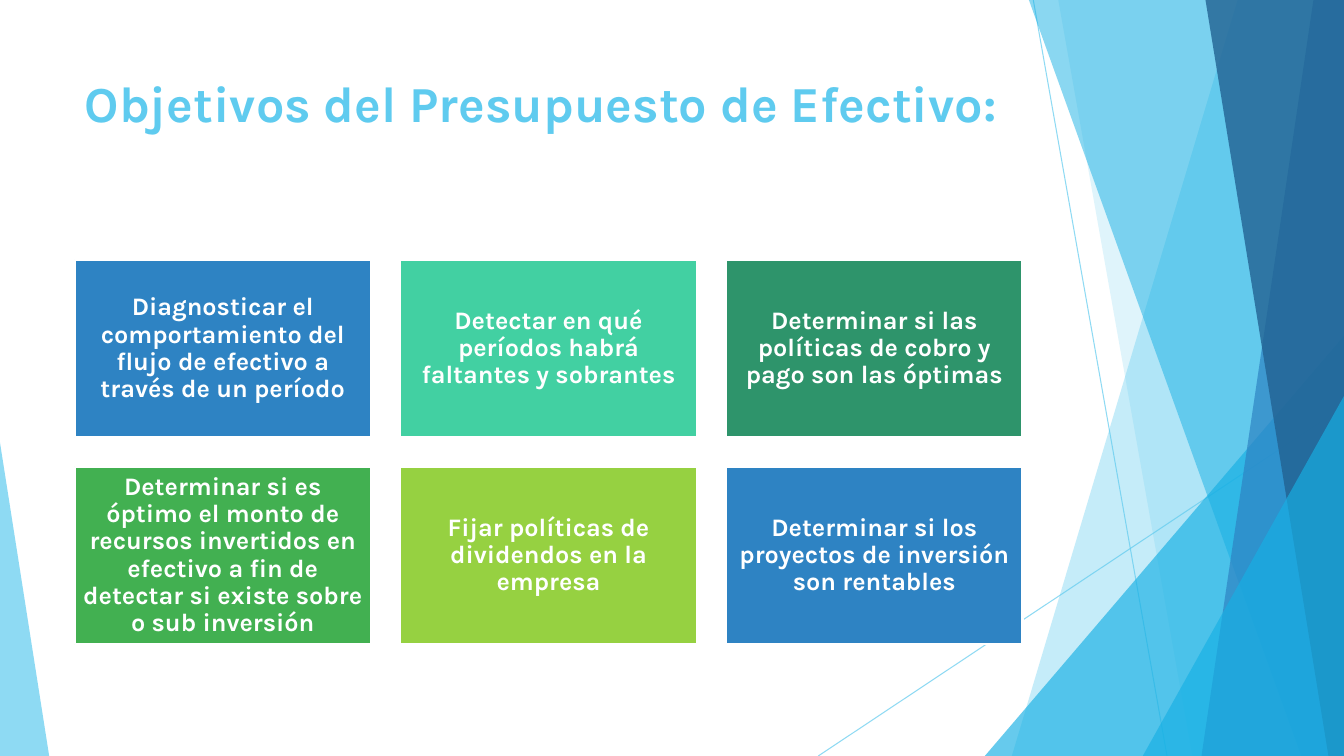
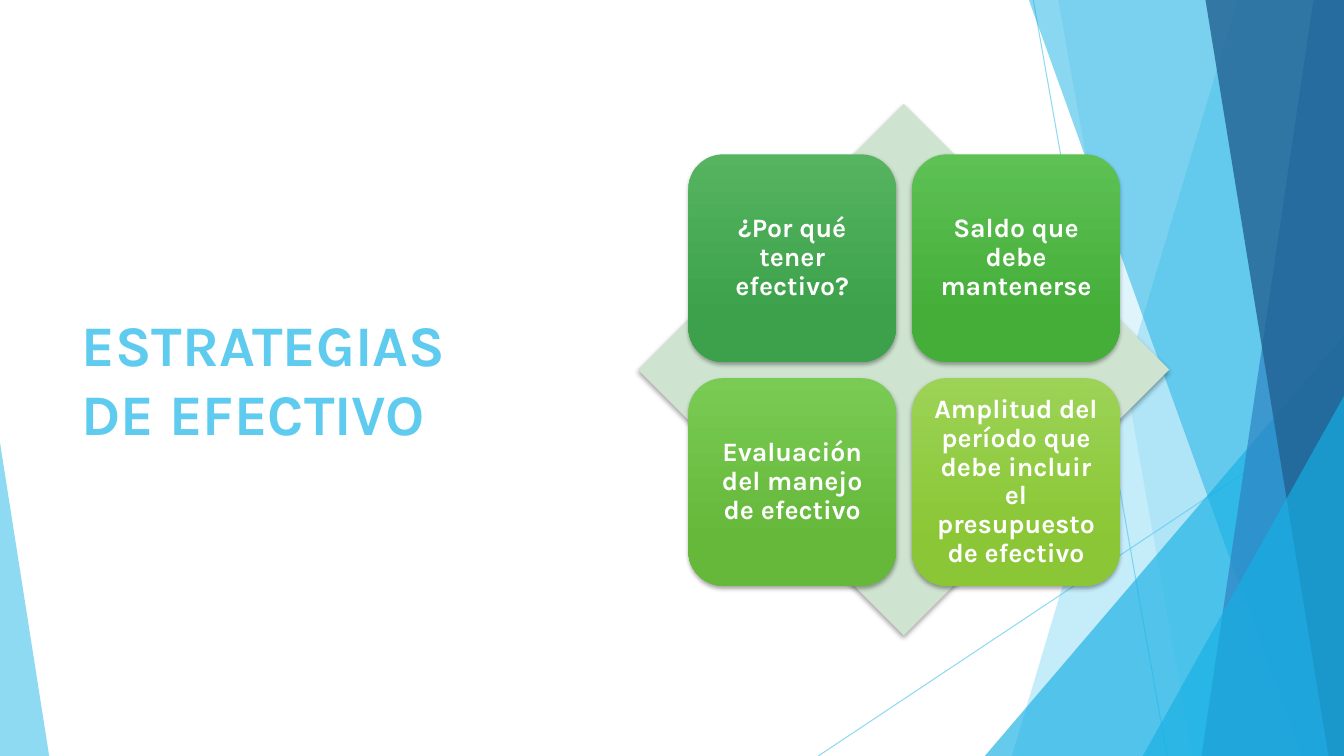
import lxml.etree
import pptx
import pptx.dml.color
import pptx.enum.shapes
import pptx.enum.text
import pptx.oxml.ns
import pptx.util

Cm = pptx.util.Cm
Pt = pptx.util.Pt
RGB = pptx.dml.color.RGBColor
SHAPE = pptx.enum.shapes.MSO_SHAPE
ANCHOR = pptx.enum.text.MSO_ANCHOR
ALIGN = pptx.enum.text.PP_ALIGN
qn = pptx.oxml.ns.qn

FONT = "Karla"
WIDTH, HEIGHT = 33.87, 19.05

WHITE = RGB(0xFF, 0xFF, 0xFF)
SKY = RGB(0x5F, 0xCB, 0xEF)
CYAN = RGB(0x17, 0xB0, 0xE4)
BLUE = RGB(0x2E, 0x83, 0xC3)
NAVY = RGB(0x22, 0x62, 0x92)
MINT = RGB(0x42, 0xD0, 0xA2)
FOREST = RGB(0x2E, 0x94, 0x6B)
GREEN = RGB(0x42, 0xB0, 0x51)
LIME = RGB(0x96, 0xD1, 0x41)
PALE_GREEN = RGB(0xCF, 0xE4, 0xD0)

LINES = [
    (26.04, 0, 29.41, HEIGHT),
    (WIDTH, 10.24, 20.62, HEIGHT),
]
FACETS = [
    ("band", 31.19, 25.5, SKY, 36),
    ("band", 26.67, 30.05, SKY, 20),
    ("triangle", 24.82, 8.46, CYAN, 66),
    ("band", 25.93, 32.79, CYAN, 50),
    ("band", 33.1, 30.28, BLUE, 70),
    ("band", 30.38, 33.48, NAVY, 80),
    ("triangle", 28.8, 9.98, CYAN, 66),
]
LEFT_FACET = (1.24, 11.15, SKY, 70)

OBJECTIVES_TITLE = "Objetivos del Presupuesto de Efectivo:"
OBJECTIVES = [
    ("Diagnosticar el comportamiento del flujo de efectivo a través de un período", BLUE),
    ("Detectar en qué períodos habrá faltantes y sobrantes", MINT),
    ("Determinar si las políticas de cobro y pago son las óptimas", FOREST),
    ("Determinar si es óptimo el monto de recursos invertidos en efectivo "
     "a fin de detectar si existe sobre o sub inversión", GREEN),
    ("Fijar políticas de dividendos en la empresa", LIME),
    ("Determinar si los proyectos de inversión son rentables", BLUE),
]

STRATEGIES_TITLE = "ESTRATEGIAS DE EFECTIVO"
STRATEGIES = [
    ("¿Por qué tener efectivo?", RGB(0x56, 0xB4, 0x61), RGB(0x3C, 0xA1, 0x4A)),
    ("Saldo que debe mantenerse", RGB(0x5D, 0xC1, 0x54), RGB(0x45, 0xAE, 0x39)),
    ("Evaluación del manejo de efectivo", RGB(0x79, 0xCB, 0x54), RGB(0x65, 0xB8, 0x39)),
    ("Amplitud del período que debe incluir el presupuesto de efectivo",
     RGB(0x9C, 0xD3, 0x56), RGB(0x8A, 0xC6, 0x35)),
]


def add_xml(parent, tag, **attributes):
    child = lxml.etree.SubElement(parent, qn(tag))
    for name, value in attributes.items():
        child.set(name, str(int(value)))
    return child


def set_alpha(element, percent):
    for color in element.iter(qn("a:srgbClr")):
        add_xml(color, "a:alpha", val=percent * 1000)


def add_box(slide, kind, left, top, width, height):
    sp = slide.shapes.add_shape(kind, Cm(left), Cm(top), Cm(width), Cm(height))
    sp.shadow.inherit = False
    sp.line.fill.background()
    return sp


def fill_solid(sp, color):
    sp.fill.solid()
    sp.fill.fore_color.rgb = color


def add_soft_shadow(sp):
    effects = sp.element.spPr.find(qn("a:effectLst"))
    shadow = add_xml(effects, "a:outerShdw", blurRad=Pt(3), dist=Pt(2), dir=5400000, rotWithShape=0)
    add_xml(shadow, "a:srgbClr").set("val", "000000")
    set_alpha(shadow, 35)


def set_font(p, size, color):
    p.font.name = FONT
    p.font.size = Pt(size)
    p.font.bold = True
    p.font.color.rgb = color


def write_card(sp, text, size, inset):
    tf = sp.text_frame
    tf.word_wrap = True
    tf.vertical_anchor = ANCHOR.MIDDLE
    tf.margin_left = tf.margin_top = tf.margin_right = tf.margin_bottom = Cm(inset)
    p = tf.paragraphs[0]
    p.text = text
    p.alignment = ALIGN.CENTER
    p.line_spacing = 0.9
    set_font(p, size, WHITE)


def add_titled_slide(prs, layout, text, box, size, anchor):
    slide = prs.slides.add_slide(layout)
    title = slide.shapes.title
    title.left, title.top, title.width, title.height = (Cm(v) for v in box)
    tf = title.text_frame
    tf.word_wrap = True
    tf.auto_size = pptx.enum.text.MSO_AUTO_SIZE.NONE
    tf.vertical_anchor = anchor
    p = tf.paragraphs[0]
    p.text = text
    p.alignment = ALIGN.LEFT
    set_font(p, size, SKY)
    return slide


def add_line(slide, x1, y1, x2, y2):
    line = slide.shapes.add_connector(
        pptx.enum.shapes.MSO_CONNECTOR.STRAIGHT, Cm(x1), Cm(y1), Cm(x2), Cm(y2))
    line.line.color.rgb = SKY
    line.line.width = Pt(0.75)
    add_xml(line.element.spPr, "a:effectLst")
    set_alpha(line.element.spPr, 70)
    return line


def add_band(slide, top_x, bottom_x):
    builder = slide.shapes.build_freeform(Cm(top_x), 0)
    corners = [(WIDTH, 0), (WIDTH, HEIGHT), (bottom_x, HEIGHT)]
    builder.add_line_segments([(Cm(x), Cm(y)) for x, y in corners], close=True)
    sp = builder.convert_to_shape()
    sp.shadow.inherit = False
    sp.line.fill.background()
    return sp


def add_triangle(slide, left, right, top, apex):
    sp = add_box(slide, SHAPE.ISOSCELES_TRIANGLE, left, top, right - left, HEIGHT - top)
    sp.adjustments[0] = apex
    return sp


def tint(sp, color, alpha):
    fill_solid(sp, color)
    set_alpha(sp.element.spPr, alpha)
    return sp


def decorate_layout(layout, slide):
    parts = [add_line(slide, *ends) for ends in LINES]
    for kind, a, b, color, alpha in FACETS:
        if kind == "band":
            sp = add_band(slide, a, b)
        else:
            sp = add_triangle(slide, a, WIDTH, b, 1)
        parts.append(tint(sp, color, alpha))
    right, top, color, alpha = LEFT_FACET
    parts.append(tint(add_triangle(slide, 0, right, top, 0), color, alpha))
    for placeholder in list(layout.placeholders):
        if placeholder.placeholder_format.idx != 0:
            layout.shapes.element.remove(placeholder.element)
    for part in parts:
        layout.shapes.element.append(part.element)


def grid(count, columns, left, top, width, height, gap):
    for i in range(count):
        row, column = divmod(i, columns)
        yield left + column * (width + gap), top + row * (height + gap), width, height


def add_objectives(slide):
    places = grid(len(OBJECTIVES), 3, 1.88, 6.55, 7.47, 4.47, 0.74)
    for (text, color), place in zip(OBJECTIVES, places):
        sp = add_box(slide, SHAPE.RECTANGLE, *place)
        fill_solid(sp, color)
        sp.line.color.rgb = WHITE
        sp.line.width = Pt(1.5)
        write_card(sp, text, 18, 0.18)


def add_strategies(slide):
    diamond = add_box(slide, SHAPE.DIAMOND, 16.08, 2.62, 13.39, 13.39)
    fill_solid(diamond, PALE_GREEN)
    add_soft_shadow(diamond)
    places = grid(len(STRATEGIES), 2, 17.35, 3.89, 5.23, 5.23, 0.41)
    for (text, light, dark), place in zip(STRATEGIES, places):
        sp = add_box(slide, SHAPE.ROUNDED_RECTANGLE, *place)
        sp.fill.gradient()
        sp.fill.gradient_angle = 270
        for stop, color, position in zip(sp.fill.gradient_stops, (light, dark), (0, 0.78)):
            stop.color.rgb = color
            stop.position = position
        add_soft_shadow(sp)
        write_card(sp, text, 19, 0.2)


def main():
    prs = pptx.Presentation()
    prs.slide_width, prs.slide_height = Cm(WIDTH), Cm(HEIGHT)
    layout = prs.slide_layouts[5]

    objectives = add_titled_slide(
        prs, layout, OBJECTIVES_TITLE, (1.88, 1.7, 23.88, 3.66), 36, ANCHOR.TOP)
    decorate_layout(layout, objectives)
    add_objectives(objectives)

    strategies = add_titled_slide(
        prs, layout, STRATEGIES_TITLE, (1.8, 3.84, 9.86, 11.38), 41, ANCHOR.MIDDLE)
    add_strategies(strategies)

    prs.save("out.pptx")


if __name__ == "__main__":
    main()
